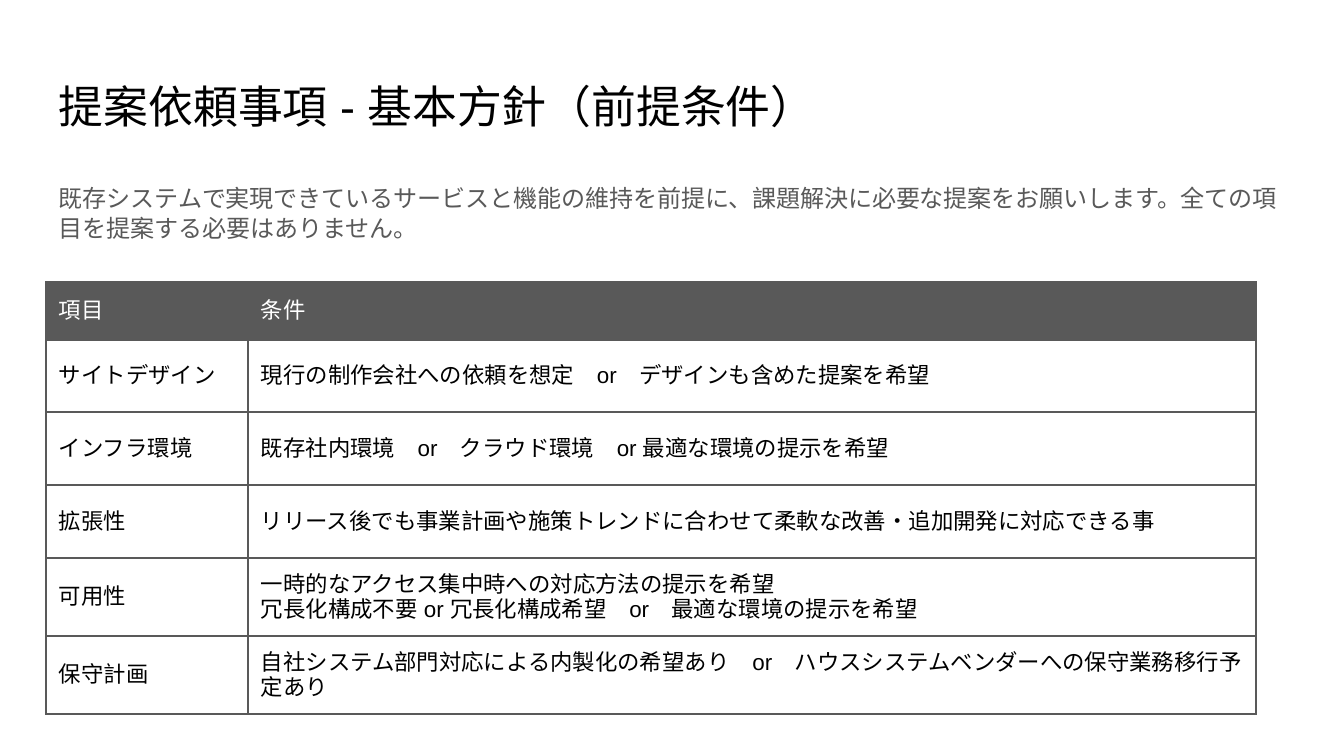
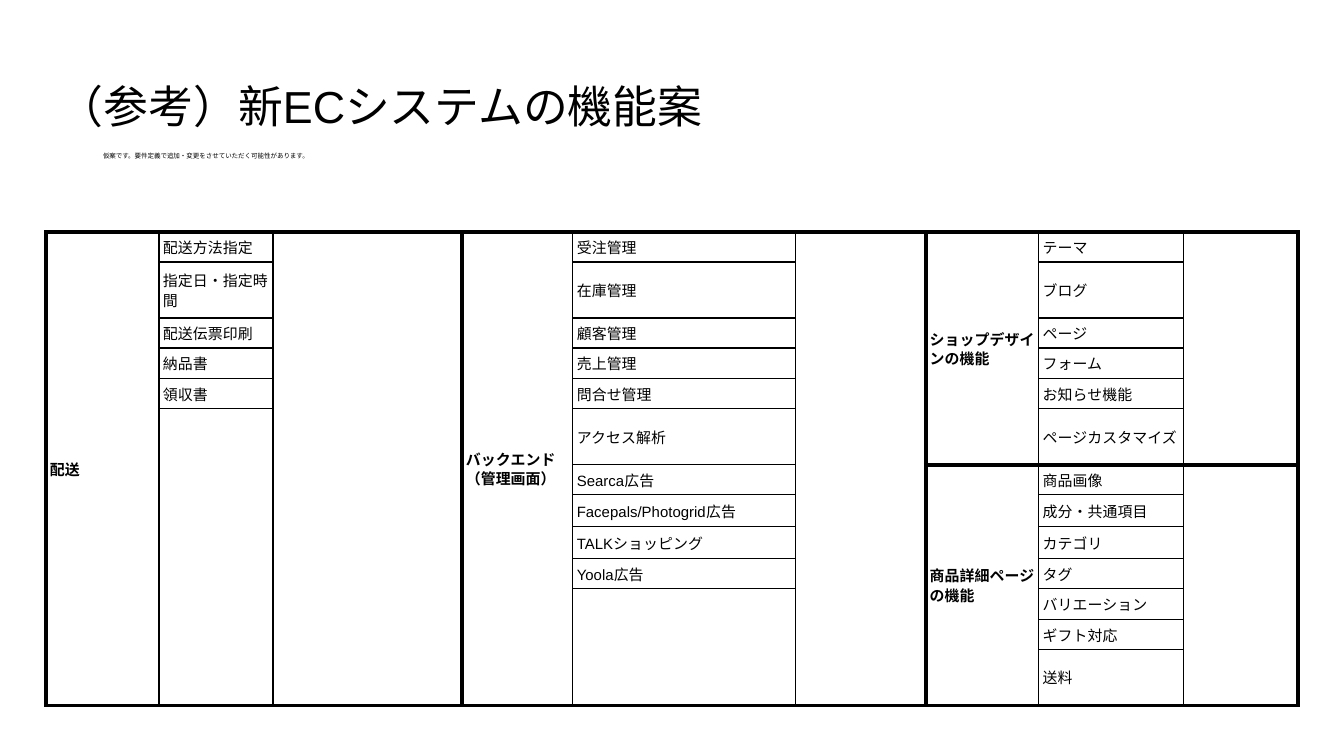
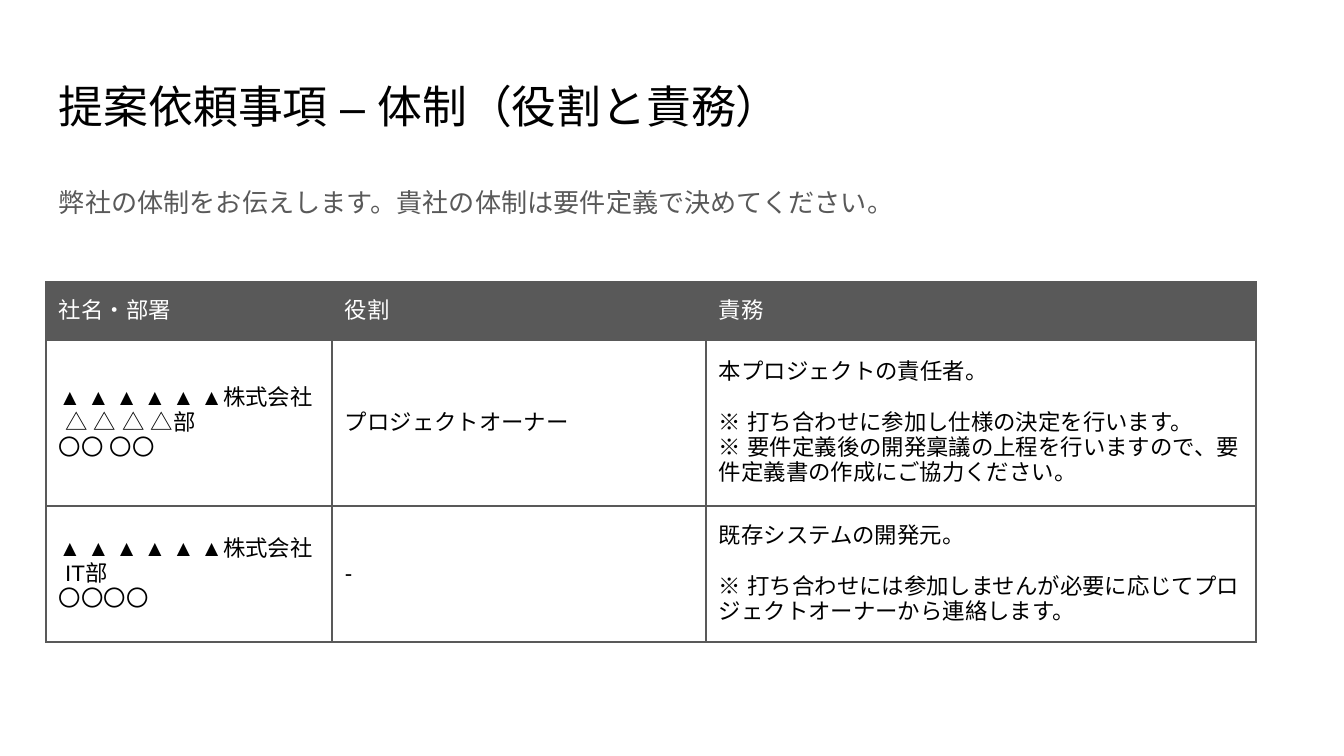
from lxml.etree import SubElement
from pptx import Presentation
from pptx.dml.color import RGBColor
from pptx.enum.text import MSO_ANCHOR
from pptx.oxml.ns import qn
from pptx.util import Emu, Pt

SLIDE_WIDTH, SLIDE_HEIGHT = 1344, 756
EMU_PER_PX = 9144000 / SLIDE_WIDTH
BLANK_LAYOUT = 6
NO_TABLE_STYLE = "{2D5ABB26-0587-4C30-8999-92F81FD0307C}"

FONT = "Arial"
BLACK = RGBColor(0x00, 0x00, 0x00)
GRAY = RGBColor(0x59, 0x59, 0x59)
WHITE = RGBColor(0xFF, 0xFF, 0xFF)

LEFT = 46
TEXT_WIDTH = 1253
HEADER_HEIGHT = 57
THIN, THICK = 0.75, 2.25
GRID, HEADER_RULE = 1, 3
SIDES = {"left": "a:lnL", "right": "a:lnR", "top": "a:lnT", "bottom": "a:lnB"}


def px(length):
    return Emu(round(length * EMU_PER_PX))


def apply_format(target, values):
    for name, value in values.items():
        setattr(target, name, value)


def margins(horizontal, vertical):
    return {
        "margin_left": px(horizontal),
        "margin_right": px(horizontal),
        "margin_top": px(vertical),
        "margin_bottom": px(vertical),
    }


class Deck:
    """Holds the shared style and the slide being built."""

    def __init__(self):
        self.presentation = Presentation()
        self.presentation.slide_width = px(SLIDE_WIDTH)
        self.presentation.slide_height = px(SLIDE_HEIGHT)
        self.slide = None

    def add_slide(self, title):
        layout = self.presentation.slide_layouts[BLANK_LAYOUT]
        self.slide = self.presentation.slides.add_slide(layout)
        self.text_box((LEFT, 66, TEXT_WIDTH, 85), title, 24)

    def lead(self, text, size, line_spacing):
        self.text_box((LEFT, 169, TEXT_WIDTH, 113), text, size, GRAY,
                      line_spacing=line_spacing, space_after=Pt(12))

    def text_box(self, box, text, size, color=BLACK, inset=13, **spacing):
        shape = self.slide.shapes.add_textbox(*map(px, box))
        apply_format(shape.text_frame, {"word_wrap": True, **margins(13, inset)})
        self.fill_text(shape.text_frame, text, size, color, **spacing)

    def fill_text(self, frame, text, size, color, bold=False, **spacing):
        """Add one paragraph per line of text, all in one style."""
        for index, line in enumerate(text.split("\n")):
            paragraph = frame.add_paragraph() if index else frame.paragraphs[0]
            apply_format(paragraph, spacing)
            if not line:
                SubElement(paragraph._p, qn("a:endParaRPr"), sz=str(size * 100))
                continue
            run = paragraph.add_run()
            run.text = line
            apply_format(run.font, {"size": Pt(size), "bold": bold, "name": FONT})
            run.font.color.rgb = color
            for tag in ("a:ea", "a:cs"):
                SubElement(run.font._element, qn(tag), typeface=FONT)

    def table(self, top, widths, heights):
        frame = self.slide.shapes.add_table(
            len(heights), len(widths), px(LEFT), px(top),
            px(sum(widths)), px(sum(heights)))
        table = frame.table
        apply_format(table, {"first_row": False, "horz_banding": False})
        table._tbl.tblPr.find(qn("a:tableStyleId")).text = NO_TABLE_STYLE
        for column, width in zip(table.columns, widths):
            column.width = px(width)
        for row, height in zip(table.rows, heights):
            row.height = px(height)
        return table

    def cell(self, cell, text, size, color, insets, borders, line_color,
             fill=None, **style):
        apply_format(cell, {"vertical_anchor": MSO_ANCHOR.MIDDLE, **margins(*insets)})
        self.fill_text(cell.text_frame, text, size, color, **style)
        properties = cell._tc.get_or_add_tcPr()
        for side, tag in SIDES.items():
            line = SubElement(properties, qn(tag), w=str(Pt(borders[side])))
            solid = SubElement(line, qn("a:solidFill"))
            SubElement(solid, qn("a:srgbClr"), val=str(line_color))
        if fill is None:
            cell.fill.background()
        else:
            cell.fill.solid()
            cell.fill.fore_color.rgb = fill

    def header_table(self, widths, heights, rows):
        """Add a grid with a dark first row."""
        table = self.table(282, widths, [HEADER_HEIGHT, *heights])
        for r, texts in enumerate(rows):
            borders = dict.fromkeys(SIDES, GRID)
            if r < 2:
                borders["top" if r else "bottom"] = HEADER_RULE
            for c, text in enumerate(texts):
                self.cell(table.cell(r, c), text, 12, BLACK if r else WHITE,
                          (13, 7), borders, GRAY, WHITE if r else GRAY)
        return table

    def feature_group(self, table, row, column, span, name, features):
        """Fill three columns: group name, its features, a blank for notes."""
        def put(first, offset, rows, text, bold=False):
            cell = table.cell(first, column + offset)
            if rows > 1:
                cell.merge(table.cell(first + rows - 1, column + offset))
            outer = {
                "left": offset == 0,
                "right": offset == 2,
                "top": first == row,
                "bottom": first + rows == row + span,
            }
            borders = {side: THICK if edge else THIN for side, edge in outer.items()}
            self.cell(cell, text, 8, BLACK, (4, 3), borders, BLACK,
                      bold=bold, line_spacing=1.15)

        put(row, 0, span, name, bold=True)
        for index, feature in enumerate(features):
            put(row + index, 1, 1, feature)
        if len(features) < span:
            put(row + len(features), 1, span - len(features), "")
        put(row, 2, span, "")


CONDITIONS = [
    ("項目", "条件"),
    ("サイトデザイン", "現行の制作会社への依頼を想定　or　デザインも含めた提案を希望"),
    ("インフラ環境", "既存社内環境　or　クラウド環境　or 最適な環境の提示を希望"),
    ("拡張性", "リリース後でも事業計画や施策トレンドに合わせて柔軟な改善・追加開発に対応できる事"),
    ("可用性", "一時的なアクセス集中時への対応方法の提示を希望\n"
               "冗長化構成不要 or 冗長化構成希望　or　最適な環境の提示を希望"),
    ("保守計画", "自社システム部門対応による内製化の希望あり　or　"
                 "ハウスシステムベンダーへの保守業務移行予定あり"),
]

# First row, first column, rows spanned, name, features
FEATURE_GROUPS = [
    (0, 0, 13, "配送",
     ["配送方法指定", "指定日・指定時間", "配送伝票印刷", "納品書", "領収書"]),
    (0, 3, 13, "バックエンド（管理画面）",
     ["受注管理", "在庫管理", "顧客管理", "売上管理", "問合せ管理", "アクセス解析",
      "Searca広告", "Facepals/Photogrid広告", "TALKショッピング", "Yoola広告"]),
    (0, 6, 6, "ショップデザインの機能",
     ["テーマ", "ブログ", "ページ", "フォーム", "お知らせ機能", "ページカスタマイズ"]),
    (6, 6, 7, "商品詳細ページの機能",
     ["商品画像", "成分・共通項目", "カテゴリ", "タグ", "バリエーション",
      "ギフト対応", "送料"]),
]

ROLES = [
    ("社名・部署", "役割", "責務"),
    ("▲ ▲ ▲ ▲ ▲ ▲株式会社\n △ △ △ △部\n〇〇 〇〇", "プロジェクトオーナー",
     "本プロジェクトの責任者。\n※ 打ち合わせに参加し仕様の決定を行います。\n"
     "※ 要件定義後の開発稟議の上程を行いますので、要件定義書の作成にご協力ください。"),
    ("▲ ▲ ▲ ▲ ▲ ▲株式会社\n IT部\n〇〇〇〇", "-",
     "既存システムの開発元。\n"
     "※ 打ち合わせには参加しませんが必要に応じてプロジェクトオーナーから連絡します。"),
]


def conditions_slide(deck):
    deck.add_slide("提案依頼事項 - 基本方針（前提条件）")
    deck.lead("既存システムで実現できているサービスと機能の維持を前提に、"
              "課題解決に必要な提案をお願いします。"
              "全ての項目を提案する必要はありません。", 12.9, 1.05)
    deck.header_table([202, 1008], [73] * 3 + [78] * 2, CONDITIONS)


def features_slide(deck):
    deck.add_slide("（参考）新ECシステムの機能案")
    deck.text_box((90, 149, 1087, 51),
                  "仮案です。要件定義で追加・変更をさせていただく可能性があります。",
                  3.5, inset=7, line_spacing=0.95,
                  space_before=Pt(2.8), space_after=Pt(14))
    table = deck.table(
        232, [113, 114, 189, 111, 223, 130, 113, 145, 114],
        [30, 56, 30, 31, 30, 56, 30, 32, 32, 30, 31, 30, 56])
    for group in FEATURE_GROUPS:
        deck.feature_group(table, *group)


def roles_slide(deck):
    deck.add_slide("提案依頼事項 – 体制（役割と責務）")
    deck.lead("弊社の体制をお伝えします。貴社の体制は要件定義で決めてください。", 14, 1.15)
    table = deck.header_table([286, 374, 550], [167, 136], ROLES)
    for row in range(1, len(ROLES)):
        table.cell(row, 2).text_frame.paragraphs[0].space_after = Pt(14)


def main():
    deck = Deck()
    for build in (conditions_slide, features_slide, roles_slide):
        build(deck)
    deck.presentation.save("out.pptx")


if __name__ == "__main__":
    main()
